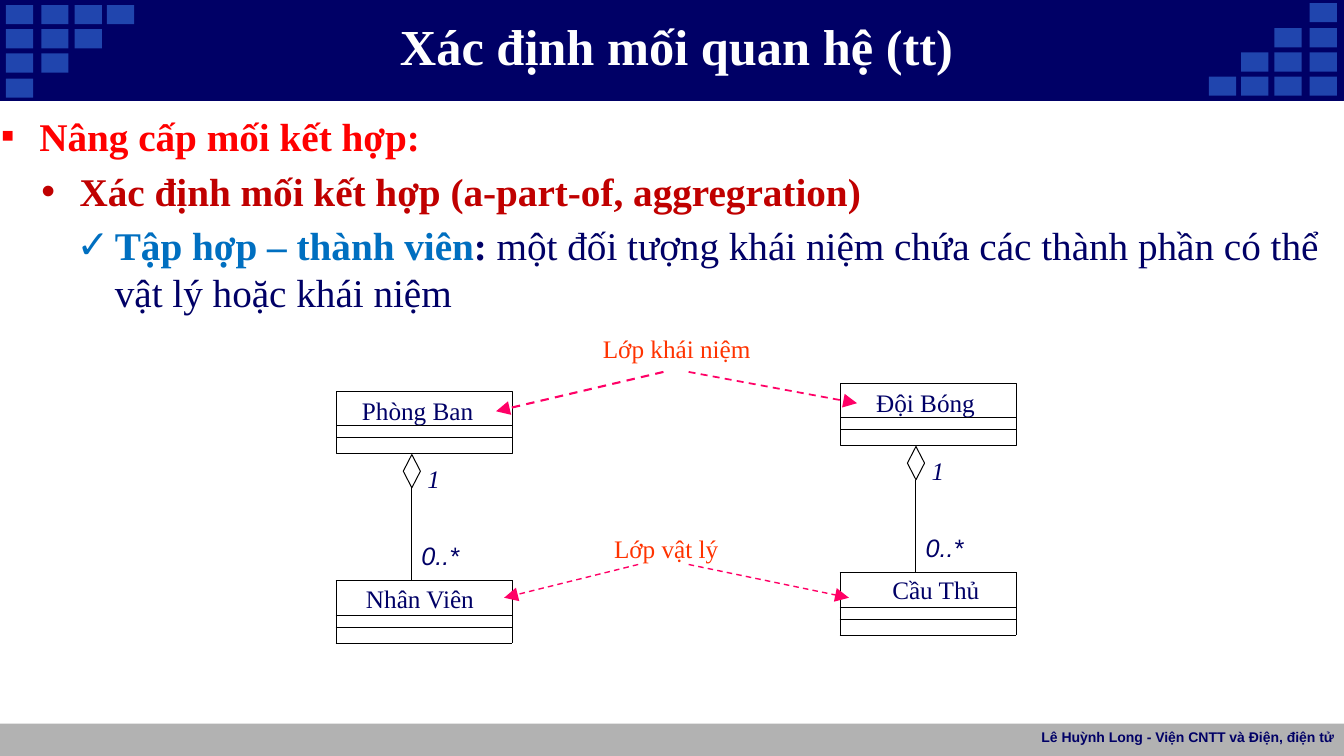
from dataclasses import dataclass

import lxml.etree
import pptx
import pptx.dml.color
import pptx.enum.dml
import pptx.enum.shapes
import pptx.enum.text
import pptx.oxml.ns
import pptx.util

Inches, Pt = pptx.util.Inches, pptx.util.Pt
SHAPE = pptx.enum.shapes.MSO_SHAPE
ALIGN = pptx.enum.text.PP_ALIGN
ANCHOR = pptx.enum.text.MSO_ANCHOR
qn = pptx.oxml.ns.qn


@dataclass(frozen=True)
class Theme:
    serif: str = "Times New Roman"
    sans: str = "Arial"
    navy: str = "000066"
    tile: str = "2045AE"
    gray: str = "B2B2B2"
    black: str = "000000"
    white: str = "FFFFFF"
    red: str = "FF0000"
    dark_red: str = "C00000"
    blue: str = "006FC0"
    orange: str = "FF3300"
    pink: str = "FF0066"
    title: float = 36
    body: float = 28
    label: float = 18
    footer: float = 10
    hairline: float = 0.25


def rgb(color):
    return pptx.dml.color.RGBColor.from_string(color)


def add_xml(parent, tag, **attrs):
    return lxml.etree.SubElement(parent, qn(tag), attrs)


def add_text(p, text, *, size, color, font, bold=False, italic=False):
    r = p.add_run()
    r.text = text
    f = r.font
    f.size, f.name, f.bold, f.italic = Pt(size), font, bold, italic
    f.color.rgb = rgb(color)


def set_frame(tf, left=0, top=0.01, right=0, bottom=0, anchor=ANCHOR.TOP):
    tf.word_wrap = True
    tf.auto_size = pptx.enum.text.MSO_AUTO_SIZE.NONE
    tf.vertical_anchor = anchor
    tf.margin_left, tf.margin_top = Inches(left), Inches(top)
    tf.margin_right, tf.margin_bottom = Inches(right), Inches(bottom)


def set_cell_borders(cell, widths):
    """Draw the given sides (L, R, T, B) with their widths and hide the others."""
    tc_pr = cell._tc.get_or_add_tcPr()
    for side in "LRTB":
        if side in widths:
            ln = add_xml(tc_pr, f"a:ln{side}", w=str(int(Pt(widths[side]))))
            add_xml(add_xml(ln, "a:solidFill"), "a:srgbClr", val=Theme.black)
        else:
            add_xml(add_xml(tc_pr, f"a:ln{side}", w="0"), "a:noFill")


class SlideBuilder:
    def __init__(self, prs, theme):
        self.theme = theme
        self.s = prs.slides.add_slide(prs.slide_layouts[5])

    def shape(self, x, y, w, h, fill=None, line=None, width=0.75, kind=SHAPE.RECTANGLE):
        sp = self.s.shapes.add_shape(kind, Inches(x), Inches(y), Inches(w), Inches(h))
        sp.shadow.inherit = False
        if fill:
            sp.fill.solid()
            sp.fill.fore_color.rgb = rgb(fill)
        else:
            sp.fill.background()
        if line:
            sp.line.color.rgb = rgb(line)
            sp.line.width = Pt(width)
        else:
            sp.line.fill.background()
        return sp

    def title(self, text):
        t = self.theme
        sp = self.s.shapes.title
        sp.left, sp.top, sp.width, sp.height = map(Inches, (2.67, 0.13, 8.08, 0.62))
        set_frame(sp.text_frame, anchor=ANCHOR.MIDDLE)
        p = sp.text_frame.paragraphs[0]
        p.alignment = ALIGN.CENTER
        add_text(p, text, size=t.title, color=t.white, font=t.serif, bold=True)
        # The title must lie in front of the header band.
        sp._element.getparent().append(sp._element)

    def textbox(self, x, y, w, h, **frame):
        sp = self.s.shapes.add_textbox(Inches(x), Inches(y), Inches(w), Inches(h))
        set_frame(sp.text_frame, **frame)
        return sp.text_frame

    def label(self, x, y, w, text, color, italic=False):
        t = self.theme
        p = self.textbox(x, y, w, 0.33).paragraphs[0]
        add_text(p, text, size=t.label, color=color, font=t.serif, italic=italic)

    def bullets(self, x, y, w, h, items):
        """Each item is bullet, left margin, space before, runs of (text, color, bold)."""
        t = self.theme
        tf = self.textbox(x, y, w, h, top=0.1)
        for i, (char, margin, before, runs) in enumerate(items):
            p = tf.add_paragraph() if i else tf.paragraphs[0]
            p_pr = p._p.get_or_add_pPr()
            p_pr.set("marL", str(Inches(margin)))
            p_pr.set("indent", str(Inches(-0.38)))
            add_xml(p_pr, "a:buFont", typeface=t.sans)
            add_xml(p_pr, "a:buChar", char=char)
            p.level = i
            if i:
                p.space_before = Pt(before)
            for text, color, bold in runs:
                add_text(p, text, size=t.body, color=color, font=t.serif, bold=bold)

    def line(self, x1, y1, x2, y2, width):
        """Dashed arrow."""
        c = self.s.shapes.add_connector(pptx.enum.shapes.MSO_CONNECTOR.STRAIGHT,
                                        Inches(x1), Inches(y1), Inches(x2), Inches(y2))
        c.line.color.rgb = rgb(self.theme.pink)
        c.line.width = Pt(width)
        c.line.dash_style = pptx.enum.dml.MSO_LINE.DASH
        add_xml(c.line._get_or_add_ln(), "a:tailEnd", type="triangle", w="lg", len="lg")
        add_xml(c._element.spPr, "a:effectLst")

    def class_name(self, tf, text, indent, spacing):
        t = self.theme
        set_frame(tf, left=indent, top=0.05)
        p = tf.paragraphs[0]
        p.alignment = ALIGN.LEFT
        p.line_spacing = Pt(spacing)
        add_text(p, text, size=t.label, color=t.navy, font=t.serif)

    def aggregation(self, x, y, whole, whole_indent, part, part_indent):
        """Whole class above its part class, joined by a diamond line."""
        t = self.theme
        top = y
        for h in (0.34, 0.12, 0.16):
            sp = self.shape(x, top, 1.75, h, line=t.black, width=t.hairline)
            if top == y:
                self.class_name(sp.text_frame, whole, whole_indent, 20.9)
            top += h
        self.shape(x + 0.67, y + 0.63, 0.17, 0.33, line=t.black, width=0.72,
                   kind=SHAPE.DIAMOND)
        self.label(x + 0.91, y + 0.71, 0.17, "1", t.navy, italic=True)
        self.part_table(x, y + 0.96, part, part_indent)

    def part_table(self, x, y, name, indent):
        t = self.theme
        heights = (0.92, 0.34, 0.12, 0.16)
        tbl = self.s.shapes.add_table(4, 2, Inches(x), Inches(y),
                                      Inches(1.75), Inches(sum(heights))).table
        tbl.first_row = tbl.horz_banding = False
        for col, w in zip(tbl.columns, (0.75, 1)):
            col.width = Inches(w)
        for row, h in zip(tbl.rows, heights):
            row.height = Inches(h)
        for i in (1, 2, 3):
            tbl.cell(i, 0).merge(tbl.cell(i, 1))

        multiplicity, class_cell = tbl.cell(0, 1), tbl.cell(1, 0)
        p = multiplicity.text_frame.paragraphs[0]
        add_text(p, "0..*", size=t.label, color=t.navy, font=t.sans, italic=True)
        self.class_name(class_cell.text_frame, name, 0, 19.9)

        for i in range(4):
            for j in range(2):
                cell = tbl.cell(i, j)
                cell.margin_left = cell.margin_right = 0
                cell.margin_top = cell.margin_bottom = 0
                if i:
                    set_cell_borders(cell, dict.fromkeys("LRTB", t.hairline))
                else:
                    set_cell_borders(cell, {"LR"[1 - j]: 0.75, "B": t.hairline})
                cell.fill.background()
                if not cell.text_frame.text:
                    add_xml(cell.text_frame.paragraphs[0]._p, "a:endParaRPr", sz="400")
        multiplicity.vertical_anchor = ANCHOR.BOTTOM
        multiplicity.margin_left = multiplicity.margin_bottom = Inches(0.1)
        class_cell.margin_left, class_cell.margin_top = Inches(indent), Inches(0.05)

    def backdrop(self):
        t = self.theme
        self.shape(0, 7.18, 13.33, 0.32, fill=t.gray)
        self.shape(0, 0, 13.33, 1, fill=t.navy, line=t.navy)
        columns = (0.06, 0.41, 0.74, 1.06)
        for i, y in enumerate((0.05, 0.29, 0.53, 0.78)):
            for x in columns[:4 - i]:
                self.shape(x, y, 0.27, 0.19, fill=t.tile)
                self.shape(13.05 - x, 0.81 - y, 0.27, 0.19, fill=t.tile)

    def footer(self, text):
        t = self.theme
        p = self.textbox(10.17, 7.18, 3.16, 0.3, left=0.1, top=0.05, right=0.1).paragraphs[0]
        p.alignment = ALIGN.RIGHT
        add_text(p, text, size=t.footer, color=t.navy, font=t.sans, bold=True)


def main():
    prs = pptx.Presentation()
    prs.slide_width, prs.slide_height = Inches(13.33), Inches(7.5)
    t = Theme()
    b = SlideBuilder(prs, t)
    b.backdrop()
    b.title("Xác định mối quan hệ (tt)")
    b.bullets(0, 1.01, 13.33, 2.2, [
        ("▪", 0.39, 0, [("Nâng cấp mối kết hợp:", t.red, True)]),
        ("•", 0.79, 6, [("Xác định mối kết hợp (a-part-of, aggregration)", t.dark_red, True)]),
        ("✓", 1.14, 5.1, [
            ("Tập hợp – thành viên", t.blue, True), (": ", t.navy, True),
            ("một đối tượng khái niệm chứa các thành phần có thể vật lý hoặc khái niệm",
             t.navy, False)]),
    ])
    b.aggregation(3.33, 3.88, "Phòng Ban", 0.26, "Nhân Viên", 0.3)
    b.aggregation(8.33, 3.8, "Đội Bóng", 0.36, "Cầu Thủ", 0.52)
    b.label(5.98, 3.3, 1.64, "Lớp khái niệm", t.orange)
    b.label(6.09, 5.28, 1.12, "Lớp vật lý", t.orange)
    for arrow in ((6.58, 3.69, 4.92, 4.08, 1.5), (6.83, 3.69, 8.5, 4, 1.25),
                  (6.33, 5.6, 5, 5.93, 1), (6.83, 5.6, 8.42, 5.93, 1)):
        b.line(*arrow)
    b.footer("Lê Huỳnh Long - Viện CNTT và Điện, điện tử")
    prs.save("out.pptx")


if __name__ == "__main__":
    main()
